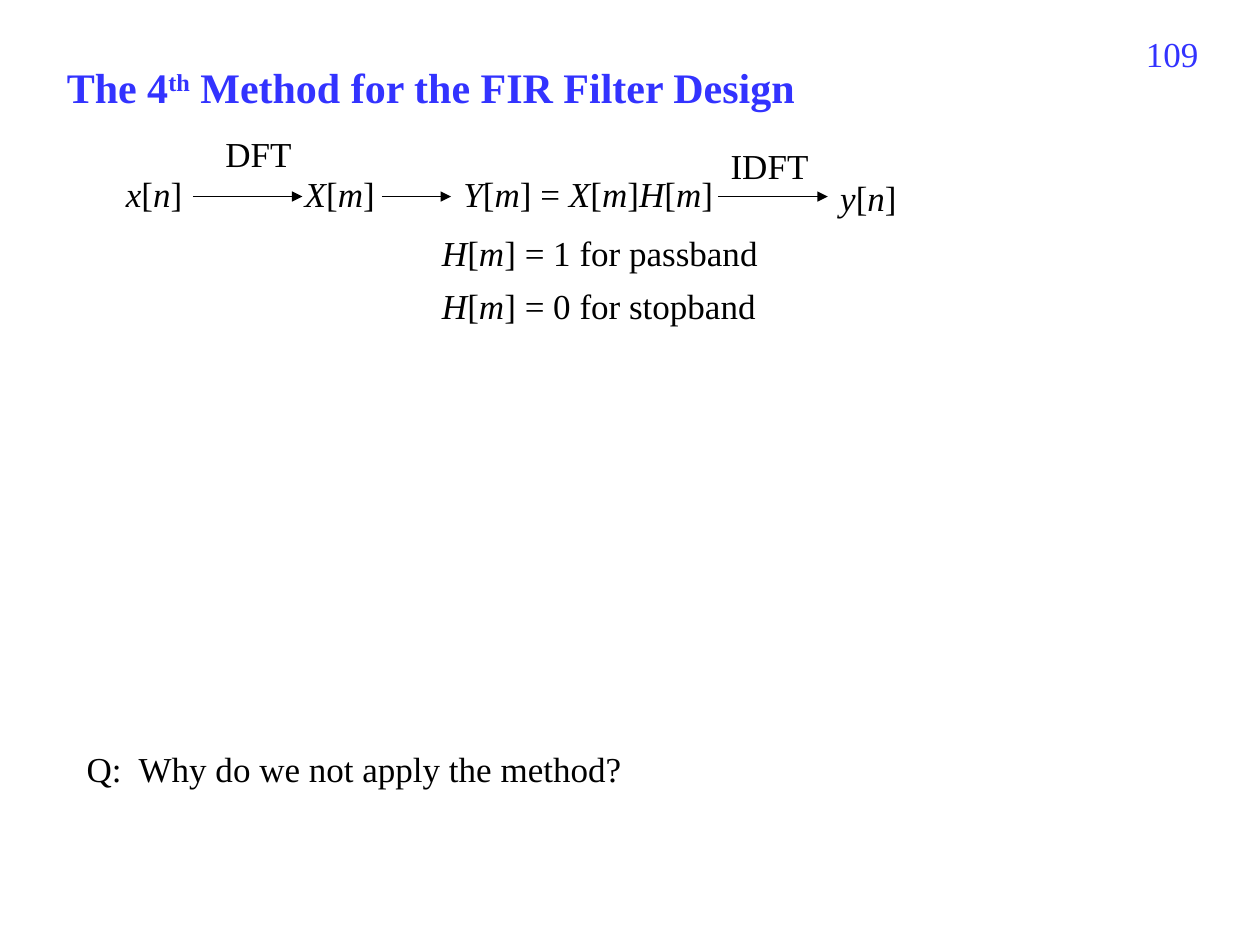
from lxml import etree
from pptx import Presentation, util as u
from pptx.dml.color import RGBColor
from pptx.enum import shapes, text
from pptx.oxml.ns import qn

COLORS = {"heading": "3333FF", "body": "000000"}
FONT = "Times New Roman"
CELL = u.Inches(0.1)
COLUMNS, ROWS = 100, 75
LINE_ROWS = 4.4
FLOW_ROW, ARROW_ROW = 13.2, 15.6


def grid(*cells):
    return [round(cell * CELL) for cell in cells]


def style_paragraph(paragraph, size, color, bold=False):
    font = paragraph.font
    font.name, font.size, font.bold = FONT, u.Pt(size), bold
    font.color.rgb = RGBColor.from_string(COLORS[color])


def write_math(paragraph, formula):
    for index, part in enumerate(formula.split("*")):
        if part:
            run = paragraph.add_run()
            run.text = part
            if index % 2:
                run.font.italic = True


def add_label(slide, box, lines, color="body", align=text.PP_ALIGN.LEFT,
              before=0, wrap=True):
    frame = slide.shapes.add_textbox(*grid(*box)).text_frame
    frame.word_wrap = wrap
    for index, line in enumerate(lines):
        paragraph = frame.add_paragraph() if index else frame.paragraphs[0]
        paragraph.alignment = align
        paragraph.space_before = u.Pt(before)
        style_paragraph(paragraph, 20, color)
        write_math(paragraph, line)


def add_arrow(slide, start, end):
    arrow = slide.shapes.add_connector(
        shapes.MSO_CONNECTOR.STRAIGHT, *grid(start, ARROW_ROW, end, ARROW_ROW))
    arrow.line.color.rgb = RGBColor.from_string(COLORS["body"])
    arrow.line.width = u.Pt(0.75)
    etree.SubElement(arrow.line._get_or_add_ln(), qn("a:tailEnd"), type="triangle")
    etree.SubElement(arrow._element.spPr, qn("a:effectLst"))


def set_heading(slide):
    heading = slide.shapes.title
    heading.left, heading.top, heading.width, heading.height = grid(4.3, 4.4, 85.8, 5)
    frame = heading.text_frame
    frame.word_wrap = True
    frame.auto_size = text.MSO_AUTO_SIZE.NONE
    frame.vertical_anchor = text.MSO_ANCHOR.TOP
    paragraph = frame.paragraphs[0]
    paragraph.alignment = text.PP_ALIGN.LEFT
    style_paragraph(paragraph, 24, "heading", bold=True)
    for part in ("The 4", "th", " Method for the FIR Filter Design"):
        run = paragraph.add_run()
        run.text = part
        if part == "th":
            run.font._element.set("baseline", "30000")


def main():
    deck = Presentation()
    deck.slide_width, deck.slide_height = grid(COLUMNS, ROWS)
    slide = deck.slides.add_slide(deck.slide_layouts[5])
    set_heading(slide)
    add_label(slide, (72.8, 2.1, 23.3, 5.2), ["109"], "heading",
              text.PP_ALIGN.RIGHT)

    flow = [
        (9, FLOW_ROW, 7.9, "*x*[*n*]"),
        (16.9, 10, 7.9, "DFT"),
        (23.2, FLOW_ROW, 7.9, "*X*[*m*]"),
        (35.8, FLOW_ROW, 22.8, "*Y*[*m*] = *X*[*m*]*H*[*m*]"),
        (57, 11, 9.4, "IDFT"),
        (65.7, 13.5, 7.9, "*y*[*n*]"),
        (5.9, 58.8, 72.4, "Q:  Why do we not apply the method?"),
    ]
    for column, row, width, wording in flow:
        add_label(slide, (column, row, width, LINE_ROWS), [wording])
    for start, end in [(15.3, 24), (30.3, 35.8), (57, 65.7)]:
        add_arrow(slide, start, end)

    add_label(slide, (34.1, 17.9, 27.3, 8.6),
              ["*H*[*m*] = 1 for passband", "*H*[*m*] = 0 for stopband"],
              before=6, wrap=False)
    deck.save("out.pptx")


if __name__ == "__main__":
    main()
